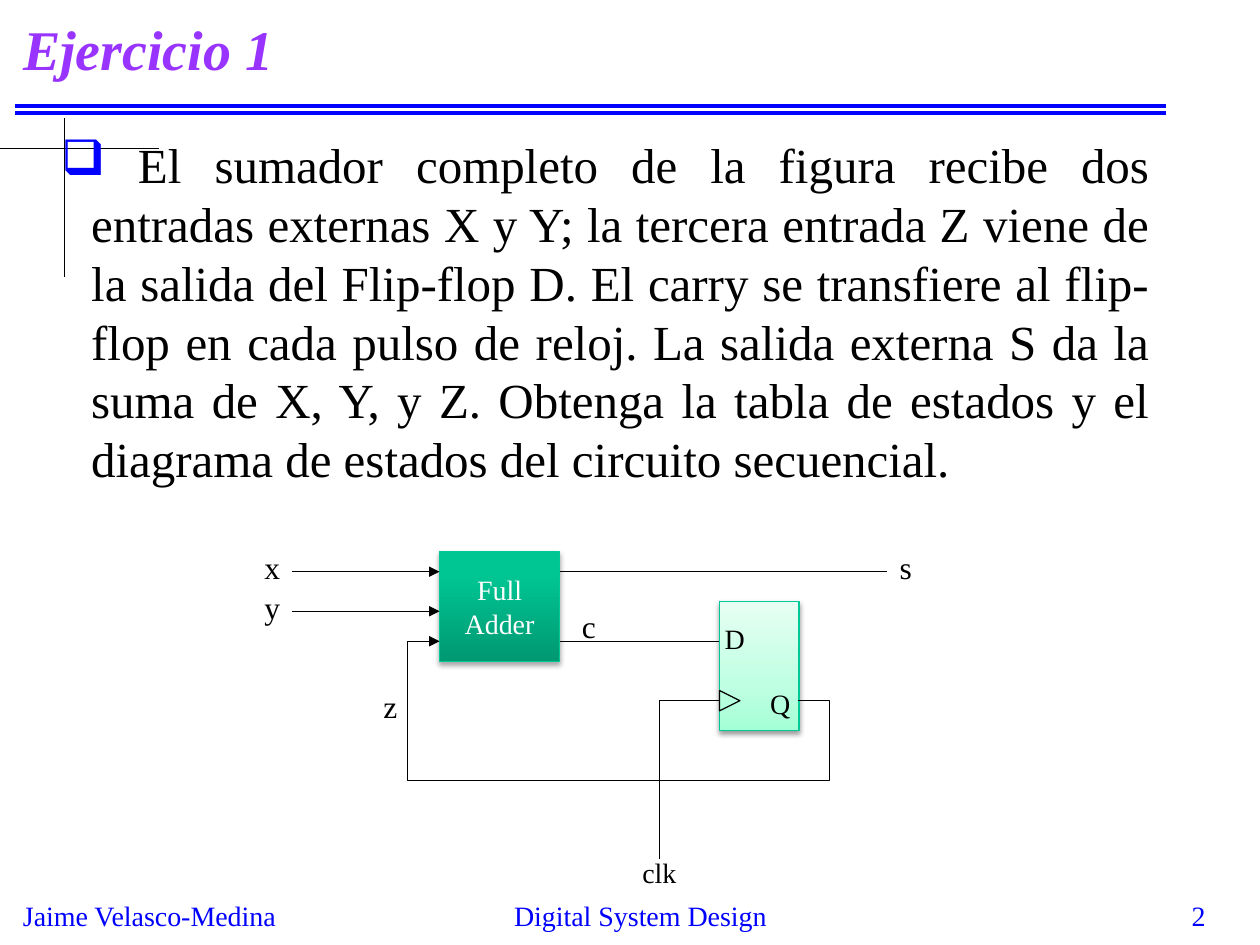
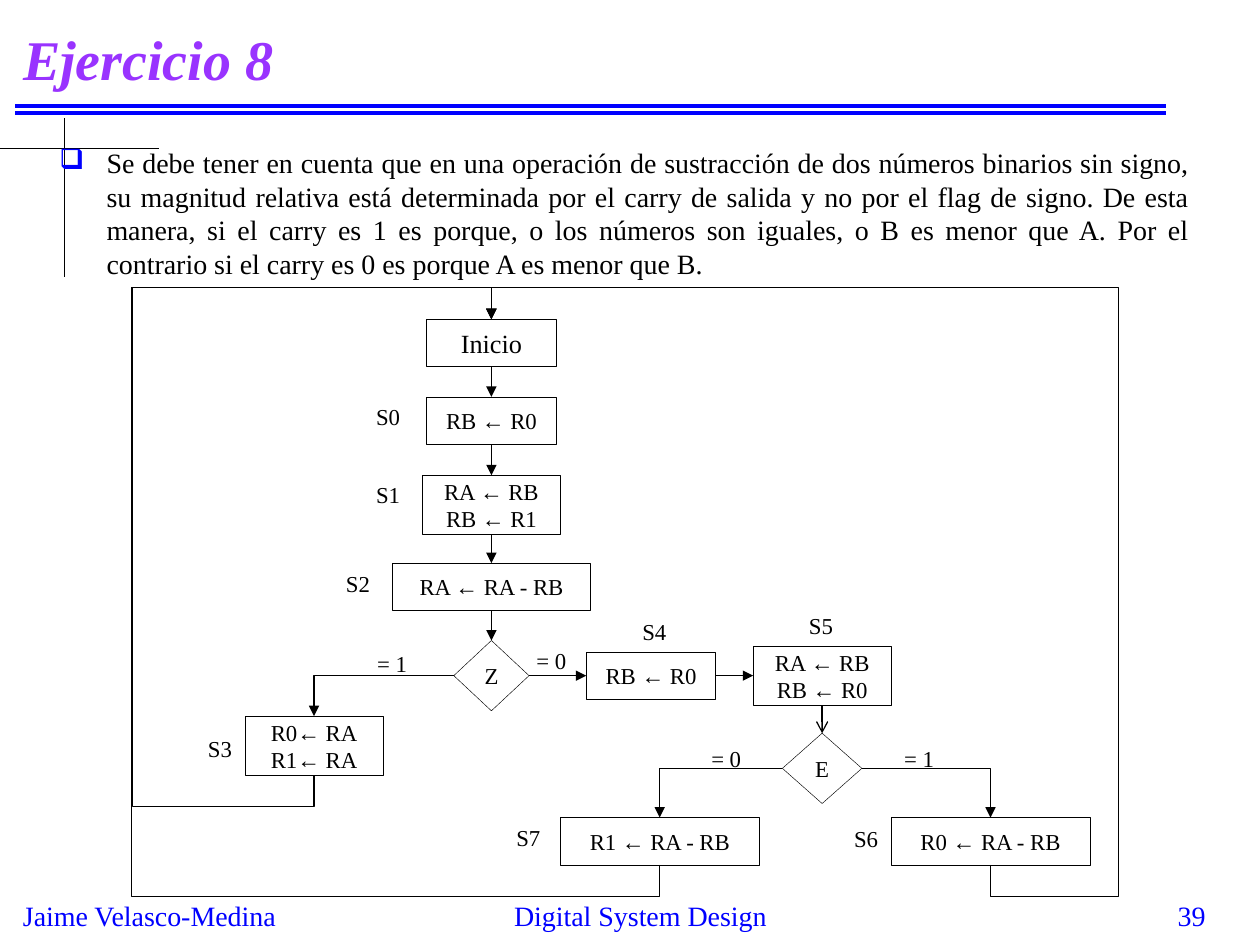
import pptx
import pptx.util
import pptx.dml.color
import pptx.enum.shapes
import pptx.enum.text
import pptx.oxml
import pptx.oxml.ns

Pt = pptx.util.Pt
qn = pptx.oxml.ns.qn
Align = pptx.enum.text.PP_ALIGN
Anchor = pptx.enum.text.MSO_ANCHOR
Shape = pptx.enum.shapes.MSO_SHAPE
Connector = pptx.enum.shapes.MSO_CONNECTOR

FONT = "Times New Roman"
COLORS = {"title": "9933FF", "accent": "0000FF", "ink": "000000", "paper": "FFFFFF", "green": "00C896"}
GRADIENTS = {
    "adder": [(0, "009872"), (80, "00C694"), (100, "00C795")],
    "flipflop": [(0, "A5FFD6"), (35, "BFFFE2"), (100, "E7FFF3")],
}
TOP, LEFT, BOTTOM, RIGHT = range(4)


def rgb(name):
    return pptx.dml.color.RGBColor.from_string(COLORS[name])


def xml(tag, body):
    ns = pptx.oxml.ns.nsdecls("a")
    return pptx.oxml.parse_xml(f"<a:{tag} {ns}>{body}</a:{tag}>")


def write(tf, text, size, color="ink", align=Align.LEFT, **font):
    """Fill a text frame, one paragraph for each line of text."""
    for i, line in enumerate(text.split("\n")):
        p = tf.paragraphs[0] if i == 0 else tf.add_paragraph()
        p.alignment = align
        r = p.add_run()
        r.text = line
        r.font.color.rgb = rgb(color)
        for key, value in {"name": FONT, "size": Pt(size), **font}.items():
            setattr(r.font, key, value)


def textbox(s, text, x, y, w, h, size, wrap=True, **style):
    tf = s.shapes.add_textbox(Pt(x), Pt(y), Pt(w), Pt(h)).text_frame
    tf.word_wrap = wrap
    write(tf, text, size, **style)
    return tf


def label(s, text, x, y, size):
    textbox(s, text, x, y, 14.4 + len(text) * size * 0.65, 7.2 + size * 1.2, size, wrap=False)


def bullet(s, text, x, y, w, h, size, indent):
    tf = s.shapes.add_textbox(Pt(x), Pt(y), Pt(w), Pt(h)).text_frame
    tf.word_wrap = True
    pPr = tf.paragraphs[0]._p.get_or_add_pPr()
    pPr.set("marL", str(Pt(indent)))
    pPr.set("indent", str(-Pt(indent)))
    pPr.append(xml("buClr", f'<a:srgbClr val="{COLORS["accent"]}"/>'))
    bu = xml("buChar", "")
    bu.set("char", "❑")
    pPr.append(bu)
    write(tf, text, size, align=Align.JUSTIFY)


def style_line(c, color="ink", width=0.75, head=None):
    c.line.color.rgb = rgb(color)
    c.line.width = Pt(width)
    c._element.spPr.append(xml("effectLst", ""))
    if head:
        end = xml("tailEnd", "")
        end.set("type", head)
        c.line._get_or_add_ln().append(end)


def line(s, x1, y1, x2, y2, kind=Connector.STRAIGHT, **style):
    c = s.shapes.add_connector(kind, Pt(x1), Pt(y1), Pt(x2), Pt(y2))
    style_line(c, **style)
    return c


def bend(c, preset, *adjusts):
    """Give an elbow connector its number of segments and its turning points."""
    geom = c._element.spPr.find(qn("a:prstGeom"))
    geom.set("prst", preset)
    for old in geom.findall(qn("a:avLst")):
        geom.remove(old)
    geom.append(xml("avLst", "".join(
        f'<a:gd name="adj{i}" fmla="val {round(a * 100000)}"/>'
        for i, a in enumerate(adjusts, 1))))


def join(s, a, a_side, b, b_side, kind=Connector.STRAIGHT, head="triangle"):
    c = line(s, 0, 0, 0, 0, kind, head=head)
    c.begin_connect(a, a_side)
    c.end_connect(b, b_side)
    return c


def corner(s, a, a_side, b):
    """Run sideways out of a, then down into the top of b."""
    bend(join(s, a, a_side, b, TOP, Connector.ELBOW), "bentConnector2")


def loop_back(s, a, b, lane, gap):
    """Run from the bottom of a, round by the vertical lane, into the top of b."""
    c = join(s, a, BOTTOM, b, TOP, Connector.ELBOW)
    x1, y1, x2, y2 = c.begin_x, c.begin_y, c.end_x, c.end_y
    length, offset = y1 - y2, abs(x2 - x1)
    c.left, c.top = (x1 + x2 - length) // 2, (y1 + y2 - offset) // 2
    c.width, c.height = length, offset
    xfrm = c._element.spPr.find(qn("a:xfrm"))
    for key, value in {"rot": "5400000", "flipH": "1", "flipV": str(int(x2 > x1))}.items():
        xfrm.set(key, value)
    reach = Pt(gap) / length
    bend(c, "bentConnector5", -reach, (Pt(lane) - x1) / (x2 - x1), 1 + reach)


def block(s, x, y, w, h, gradient, shade):
    """Rectangle with a gradient from the bottom up and a soft shadow."""
    sp = s.shapes.add_shape(Shape.RECTANGLE, Pt(x), Pt(y), Pt(w), Pt(h))
    stops = "".join(f'<a:gs pos="{pos * 1000}"><a:srgbClr val="{c}"/></a:gs>'
                    for pos, c in GRADIENTS[gradient])
    spPr = sp._element.spPr
    spPr.insert(2, xml("gradFill", f'<a:gsLst>{stops}</a:gsLst><a:lin ang="16200000" scaled="0"/>'))
    sp.line.color.rgb = rgb("green")
    sp.line.width = Pt(0.75)
    spPr.append(xml("effectLst", f'<a:outerShdw blurRad="{Pt(3.1)}" dist="{Pt(1.7)}" dir="5400000" '
                    f'rotWithShape="0"><a:srgbClr val="000000"><a:alpha val="{shade * 1000}"/>'
                    '</a:srgbClr></a:outerShdw>'))
    return sp


def step(s, text, cx, y, w, h, size=13, kind=Shape.RECTANGLE):
    """Flowchart element centred on cx."""
    sp = s.shapes.add_shape(kind, Pt(cx - w / 2), Pt(y), Pt(w), Pt(h))
    sp.shadow.inherit = False
    sp.fill.solid()
    sp.fill.fore_color.rgb = rgb("paper")
    sp.line.color.rgb = rgb("ink")
    sp.line.width = Pt(0.25)
    tf = sp.text_frame
    tf.vertical_anchor = Anchor.MIDDLE
    for side in ("left", "top", "right", "bottom"):
        setattr(tf, f"margin_{side}", 0)
    write(tf, text, size, align=Align.CENTER)
    return sp


def new_slide(prs, title, title_h, number):
    s = prs.slides.add_slide(prs.slide_layouts[5])
    for y in (60.5, 64.8):
        line(s, 8.6, y, 666, y, color="accent", width=2.25)
    line(s, 0, 85, 90.7, 85)
    line(s, 36.9, 67.7, 36.9, 158.4)
    footers = [("Jaime Velasco-Medina", 6, 162, Align.LEFT),
               ("Digital System Design", 240, 252, Align.CENTER),
               (number, 546, 150, Align.RIGHT)]
    for text, x, w, align in footers:
        textbox(s, text, x, 510, w, 26.4, 16, color="accent", align=align)
    t = s.shapes.title
    t.left, t.top, t.width, t.height = Pt(6), Pt(6), Pt(660), Pt(title_h)
    t.text_frame.vertical_anchor = Anchor.MIDDLE
    write(t.text_frame, title, 32, color="title", bold=True, italic=True)
    return s


def adder_slide(prs):
    s = new_slide(prs, "Ejercicio 1", 43, "2")
    bullet(s, " El sumador completo de la figura recibe dos entradas externas X y Y; la tercera "
           "entrada Z viene de la salida del Flip-flop D. El carry se transfiere al flip-flop en "
           "cada pulso de reloj. La salida externa S da la suma de X, Y, y Z. Obtenga la tabla de "
           "estados y el diagrama de estados del circuito secuencial.", 28, 73.4, 636, 245, 28, 17)
    adder = block(s, 251.2, 315.2, 68.6, 62.8, "adder", 35)
    adder.text_frame.word_wrap = False
    adder.text_frame.vertical_anchor = Anchor.MIDDLE
    write(adder.text_frame, "Full\nAdder", 16, color="paper", align=Align.CENTER)
    block(s, 411.2, 343.6, 45.4, 73.8, "flipflop", 38)

    line(s, 319.8, 366.5, 410.6, 366.5)
    line(s, 319.8, 326.7, 507, 326.7)
    for y in (326.7, 349.3):
        line(s, 167, y, 251.2, y, head="triangle")
    feedback = line(s, 455.8, 400.4, 251.2, 366.5, Connector.ELBOW, head="triangle")
    bend(feedback, "bentConnector5", -0.09, -1.35, 1.09)
    clock = line(s, 411.2, 400.4, 377, 491, Connector.ELBOW)
    bend(clock, "bentConnector2")
    notch = s.shapes.add_shape(Shape.ISOSCELES_TRIANGLE, Pt(411.2), Pt(394.6), Pt(11.6), Pt(11.6))
    notch.rotation = 90
    notch.shadow.inherit = False
    notch.fill.background()
    notch.line.color.rgb = rgb("ink")
    notch.line.width = Pt(0.75)

    for text, x, y, size in [("x", 144, 309.6, 18), ("y", 144, 332.6, 18), ("z", 212, 389, 18),
                             ("c", 325.4, 343.4, 18), ("s", 507, 309.6, 18), ("D", 407, 351.4, 16),
                             ("Q", 433, 389, 16), ("clk", 360, 485.3, 16)]:
        label(s, text, x, y, size)


def flowchart_slide(prs):
    s = new_slide(prs, "Ejercicio 8", 54, "39")
    bullet(s, "Se debe tener en cuenta que en una operación de sustracción de dos números binarios "
           "sin signo, su magnitud relativa está determinada por el carry de salida y no por el "
           "flag de signo. De esta manera, si el carry es 1 es porque, o los números son iguales, "
           "o B es menor que A. Por el contrario si el carry es 0 es porque A es menor que B.",
           26.8, 79.7, 660, 87, 16, 27)
    spine, branch = 280.8, 469.8
    small, double, wide = (74, 27), (78.8, 33.8), (113.6, 27)
    start = step(s, "Inicio", spine, 182.4, *small, size=15)
    s0 = step(s, "RB ← R0", spine, 226.8, *small)
    s1 = step(s, "RA ← RB\nRB ← R1", spine, 271.6, *double)
    s2 = step(s, "RA ← RA - RB", spine, 321.8, *wide)
    z = step(s, "Z", spine, 366, 43, 40.2, kind=Shape.FLOWCHART_DECISION)
    s3 = step(s, "R0← RA\nR1← RA", 179.5, 409.2, *double)
    s4 = step(s, "RB ← R0", 372, 372.6, *small)
    s5 = step(s, "RA ← RB\nRB ← R0", branch, 369.2, *double)
    e = step(s, "E", branch, 419, 45.4, 40.2, kind=Shape.FLOWCHART_DECISION)
    s6 = step(s, "R0 ← RA - RB", 566, 467.2, *wide)
    s7 = step(s, "R1 ← RA - RB", 377, 467.2, *wide)

    chain = [start, s0, s1, s2, z]
    for a, b in zip(chain, chain[1:]):
        join(s, a, BOTTOM, b, TOP)
    join(s, z, RIGHT, s4, LEFT)
    join(s, s4, RIGHT, s5, LEFT)
    join(s, s5, BOTTOM, e, TOP, head="arrow")
    for a, side, b in [(z, LEFT, s3), (e, LEFT, s7), (e, RIGHT, s6)]:
        corner(s, a, side, b)
    for a, lane in [(s6, 639.4), (s3, 75.6), (s7, 75)]:
        loop_back(s, a, start, lane, 18)

    for text, x, y in [("= 1", 208.5, 368), ("= 0", 299.5, 366), ("= 0", 399.4, 422),
                       ("= 1", 509.6, 422), ("S0", 207.8, 226.6), ("S1", 207.8, 271.4),
                       ("S2", 190.6, 322), ("S3", 111.8, 416.4), ("S4", 360, 349.4),
                       ("S5", 455.2, 346), ("S6", 481, 468), ("S7", 288, 467)]:
        label(s, text, x, y, 13)


def main():
    prs = pptx.Presentation()
    prs.slide_width, prs.slide_height = Pt(720), Pt(540)
    adder_slide(prs)
    flowchart_slide(prs)
    prs.save("out.pptx")


if __name__ == "__main__":
    main()
